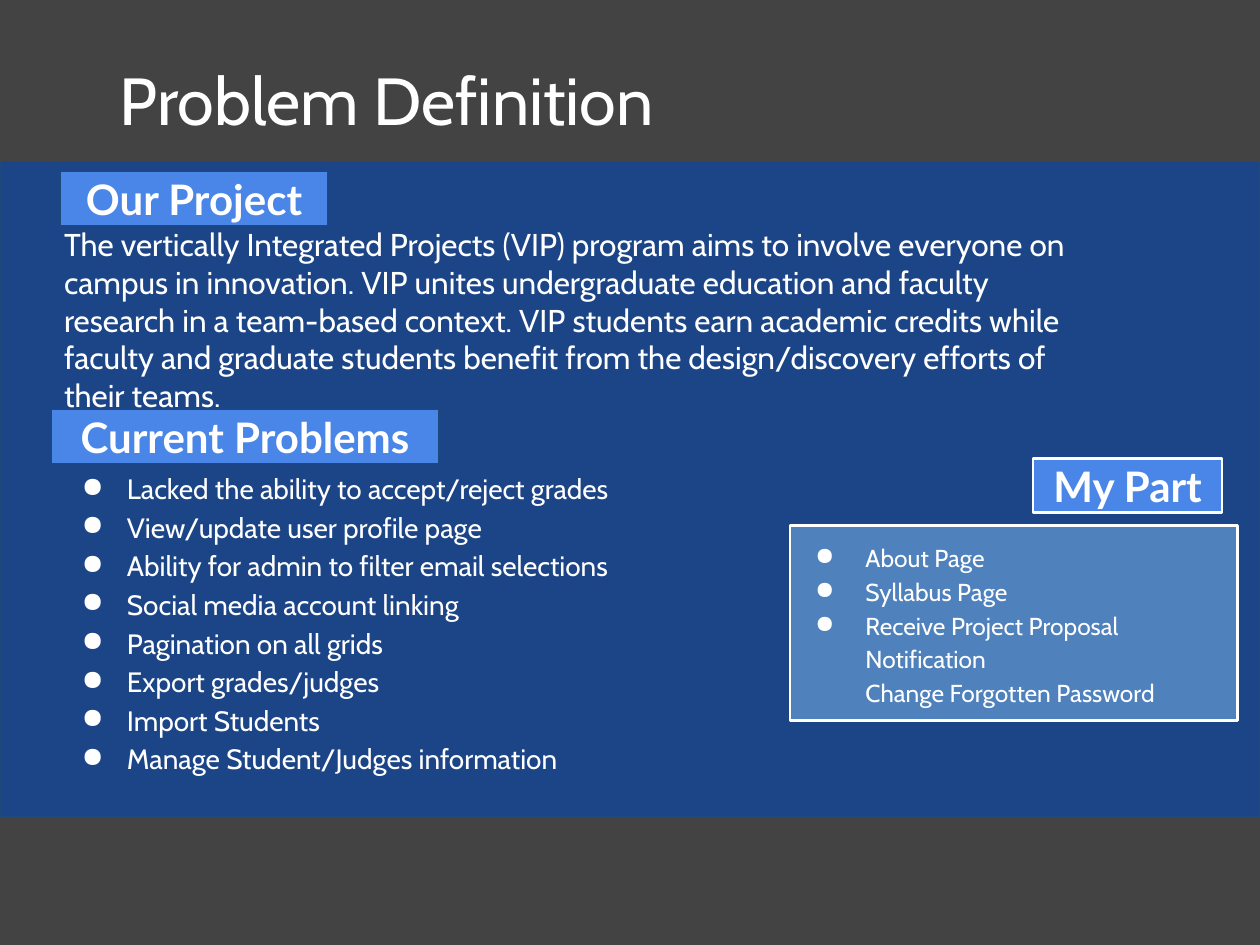
from copy import deepcopy

from pptx import Presentation
from pptx.dml.color import RGBColor
from pptx.enum import shapes, text
from pptx.oxml import ns
from pptx.util import Inches, Pt
from lxml import etree

GREY = RGBColor(0x43, 0x43, 0x43)
NAVY = RGBColor(0x1C, 0x45, 0x87)
EDGE = RGBColor(0x1F, 0x49, 0x7D)
BRIGHT = RGBColor(0x4A, 0x86, 0xE8)
STEEL = RGBColor(0x4F, 0x81, 0xBD)
WHITE = RGBColor(0xFF, 0xFF, 0xFF)

PROJECT = (
    "The vertically Integrated Projects (VIP) program aims to involve everyone on campus in "
    "innovation. VIP unites undergraduate education and faculty research in a team-based context. "
    "VIP students earn academic credits while faculty and graduate students benefit from the "
    "design/discovery efforts of their teams."
)
PROBLEMS = [
    "Lacked the ability to accept/reject grades",
    "View/update user profile page",
    "Ability for admin to filter email selections",
    "Social media account linking",
    "Pagination on all grids",
    "Export grades/judges",
    "Import Students",
    "Manage Student/Judges information",
]
MY_PART = [
    "About Page",
    "Syllabus Page",
    "Receive Project Proposal Notification\nChange Forgotten Password",
]


def add_bullet(paragraph, hanging):
    properties = paragraph._p.get_or_add_pPr()
    properties.set("marL", str(Inches(0.5)))
    properties.set("indent", str(-Inches(hanging)))
    color = etree.SubElement(properties, ns.qn("a:buClr"))
    etree.SubElement(color, ns.qn("a:srgbClr")).set("val", str(WHITE))
    etree.SubElement(properties, ns.qn("a:buChar")).set("char", "●")


def write_text(shape, paragraphs, size, font="Cabin", bold=False, align=text.PP_ALIGN.LEFT,
               anchor=text.MSO_ANCHOR.MIDDLE, margin=0.1, spacing=None, hanging=None):
    frame = shape.text_frame
    frame.word_wrap = True
    frame.vertical_anchor = anchor
    frame.margin_left = frame.margin_right = Inches(0.1)
    frame.margin_top = frame.margin_bottom = Inches(margin)
    for index, content in enumerate(paragraphs):
        paragraph = frame.add_paragraph() if index else frame.paragraphs[0]
        paragraph.text = content
        paragraph.alignment = align
        if spacing:
            paragraph.line_spacing = spacing
        if hanging:
            add_bullet(paragraph, hanging)
        for run in paragraph.runs:
            run.font.size = Pt(size)
            run.font.name = font
            run.font.bold = bold
            run.font.color.rgb = WHITE
        for line_break in paragraph._p.findall(ns.qn("a:br")):
            line_break.append(deepcopy(paragraph.runs[0]._r.rPr))


def add_box(slide, box, fill, line, width):
    shape = slide.shapes.add_shape(shapes.MSO_SHAPE.RECTANGLE, *map(Inches, box))
    shape.shadow.inherit = False
    shape.fill.solid()
    shape.fill.fore_color.rgb = fill
    shape.line.color.rgb = line
    shape.line.width = Pt(width)
    return shape


def add_textbox(slide, box, paragraphs, **style):
    write_text(slide.shapes.add_textbox(*map(Inches, box)), paragraphs, **style)


def add_heading(slide, box, heading, line=EDGE, width=0.75):
    shape = add_box(slide, box, BRIGHT, line, width)
    write_text(shape, [heading], size=24, font="Lato", bold=True, align=text.PP_ALIGN.CENTER)


def add_title(slide, box):
    add_textbox(slide, box, ["Problem Definition"], size=38,
                anchor=text.MSO_ANCHOR.TOP, margin=0.05)


def add_project(slide, left, top):
    add_textbox(slide, (left, top + 0.47, 8.29, 1.41), [PROJECT], size=18, margin=0.05)
    add_heading(slide, (left + 0.07, top, 2.12, 0.43), "Our Project")


def add_problems(slide, left, top):
    add_heading(slide, (left, top, 3.07, 0.43), "Current Problems")
    add_textbox(slide, (left, top + 0.33, 5.03, 2.7), PROBLEMS, size=16,
                spacing=1.15, hanging=0.36)


def add_my_part(slide, left, top):
    panel = add_box(slide, (left, top + 0.53, 3.55, 1.55), STEEL, WHITE, 1.5)
    write_text(panel, MY_PART, size=14, spacing=1.15, hanging=0.4)
    add_heading(slide, (left + 1.93, top, 1.5, 0.43), "My Part", line=WHITE, width=1.5)


def main():
    presentation = Presentation()
    presentation.slide_width = Inches(10)
    presentation.slide_height = Inches(7.5)
    slide = presentation.slides.add_slide(presentation.slide_layouts[6])
    slide.background.fill.solid()
    slide.background.fill.fore_color.rgb = GREY
    add_box(slide, (0, 1.28, 10, 5.2), NAVY, EDGE, 0.75)
    add_title(slide, (0.85, 0.42, 8.29, 1.14))
    add_project(slide, 0.41, 1.36)
    add_problems(slide, 0.41, 3.25)
    add_my_part(slide, 6.27, 3.64)
    presentation.save("out.pptx")


if __name__ == "__main__":
    main()
